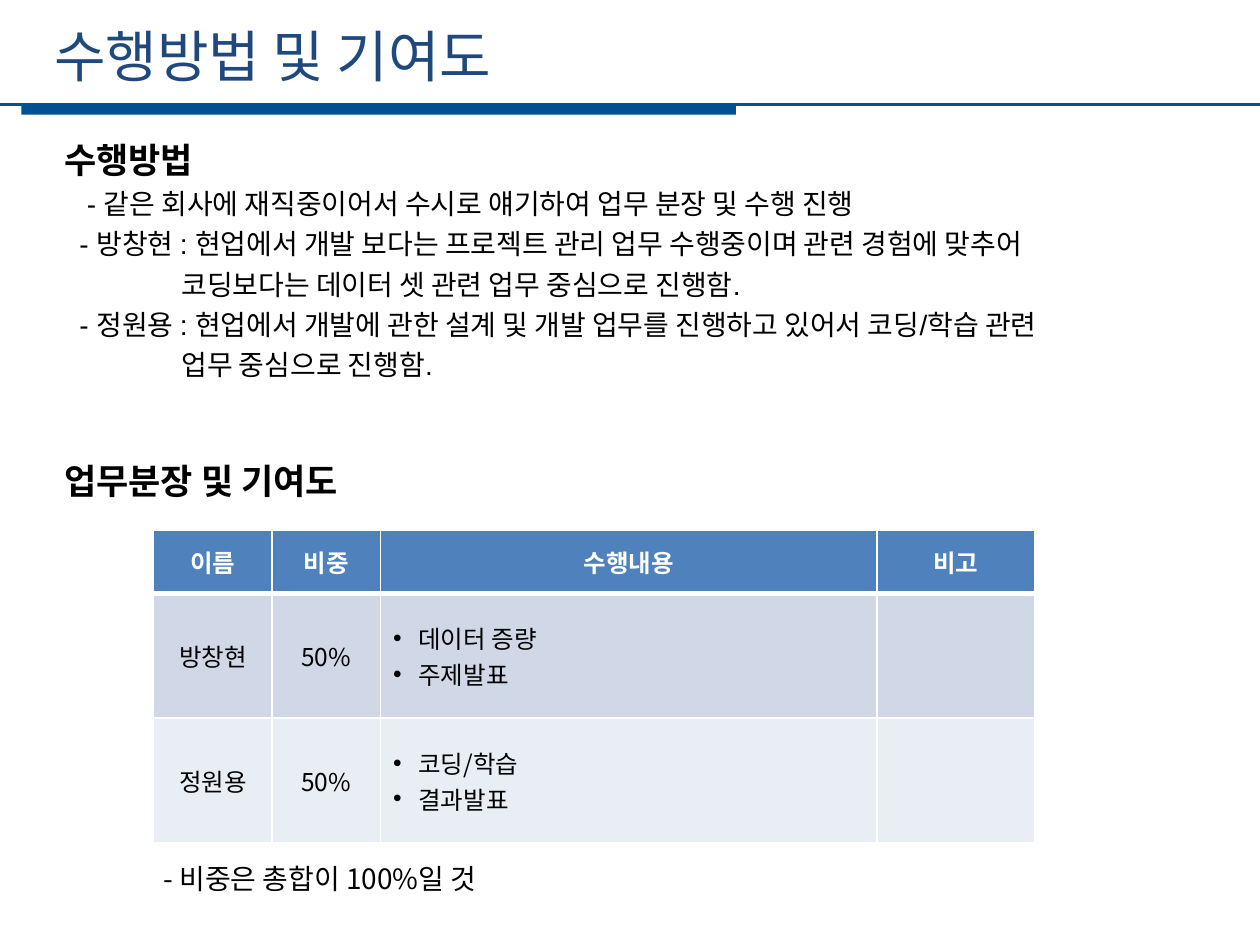
from dataclasses import dataclass

import pptx
import pptx.dml.color
import pptx.enum.dml
import pptx.enum.shapes
import pptx.enum.text
import pptx.oxml
import pptx.oxml.ns
import pptx.util
from lxml import etree

Pt = pptx.util.Pt
Inches = pptx.util.Inches
ALIGN = pptx.enum.text.PP_ALIGN
MIDDLE = pptx.enum.text.MSO_ANCHOR.MIDDLE
qn = pptx.oxml.ns.qn


@dataclass(frozen=True)
class Theme:
    title: str = "1F497D"
    rule: str = "005094"
    text: str = "000000"
    white: str = "FFFFFF"
    header: str = "4F81BD"
    bands: tuple = ("D0D8E8", "E9EDF4")
    korean: str = "Noto Sans CJK KR"
    latin: str = "Arial"
    title_size: int = 32
    heading_size: int = 20
    body_size: int = 16
    table_size: int = 14
    leading: int = 23


def rgb(value):
    return pptx.dml.color.RGBColor.from_string(value)


class Deck:
    """Places elements on a grid of 100 columns by 75 rows."""

    COLUMNS, ROWS = 100, 75

    def __init__(self, theme):
        self.theme = theme
        self.show = pptx.Presentation()
        self.show.slide_width, self.show.slide_height = Inches(10), Inches(7.5)
        self.slide = self.show.slides.add_slide(self.show.slide_layouts[1])

    def x(self, columns):
        return round(self.show.slide_width * columns / self.COLUMNS)

    def y(self, rows):
        return round(self.show.slide_height * rows / self.ROWS)

    def box(self, left, top, width, height):
        return self.x(left), self.y(top), self.x(width), self.y(height)

    def run(self, paragraph, text, size, color=None, bold=False, font=None):
        run = paragraph.add_run()
        run.text = text
        run.font.size, run.font.bold = Pt(size), bold
        run.font.name = font or self.theme.korean
        run.font.color.rgb = rgb(color or self.theme.text)
        east_asian = etree.SubElement(run.font._element, qn("a:ea"))
        east_asian.set("typeface", self.theme.korean)

    def indent(self, paragraph, margin, first, bullet=None):
        """Set the left margin and first-line offset, in columns."""
        properties = paragraph._p.get_or_add_pPr()
        properties.set("marL", str(self.x(margin)))
        properties.set("indent", str(self.x(first)))
        if bullet:
            etree.SubElement(properties, qn("a:buFont")).set("typeface", self.theme.latin)
            etree.SubElement(properties, qn("a:buChar")).set("char", bullet)
        else:
            etree.SubElement(properties, qn("a:buNone"))

    def place(self, holder, area):
        holder.left, holder.top, holder.width, holder.height = self.box(*area)
        frame = holder.text_frame
        frame.auto_size = pptx.enum.text.MSO_AUTO_SIZE.NONE
        frame.word_wrap = True
        return frame

    def title(self, text, area):
        frame = self.place(self.slide.shapes.title, area)
        frame.vertical_anchor = MIDDLE
        heading = frame.paragraphs[0]
        heading.alignment = ALIGN.LEFT
        self.run(heading, text, self.theme.title_size, self.theme.title)

    def body(self, sections, area):
        """Write (heading, items) sections; an item is (margin, first, lines)."""
        frame = self.place(self.slide.placeholders[1], area)
        leading = self.theme.leading

        def paragraph(margin, first, gap, lines, size, bold):
            target = frame.add_paragraph() if frame.paragraphs[0].runs else frame.paragraphs[0]
            target.line_spacing, target.space_before = Pt(leading), Pt(gap)
            self.indent(target, margin, first)
            for number, line in enumerate(lines):
                if number:
                    target.add_line_break()
                self.run(target, line, size, bold=bold, font=self.theme.latin)

        for number, (heading, items) in enumerate(sections):
            gap = 2 * leading if number else 0
            paragraph(0, 0, gap, [heading], self.theme.heading_size, True)
            for margin, first, lines in items:
                paragraph(margin, first, 0, lines, self.theme.body_size, False)

    def bar(self, area):
        bar = self.slide.shapes.add_shape(
            pptx.enum.shapes.MSO_SHAPE.RECTANGLE, *self.box(*area))
        bar.shadow.inherit = False
        bar.fill.solid()
        bar.fill.fore_color.rgb = rgb(self.theme.rule)
        bar.line.fill.background()

    def rule(self, row):
        rule = self.slide.shapes.add_connector(
            pptx.enum.shapes.MSO_CONNECTOR.STRAIGHT,
            0, self.y(row), self.x(self.COLUMNS), self.y(row))
        rule.line.color.rgb, rule.line.width = rgb(self.theme.rule), Pt(1.25)
        etree.SubElement(rule._element.spPr, qn("a:effectLst"))

    def note(self, text, area):
        left, top, width, height = self.box(*area)
        frame = self.slide.shapes.add_textbox(left, top, width, height).text_frame
        frame.word_wrap = True
        self.run(frame.paragraphs[0], text, self.theme.body_size)

    def borders(self, cell, bottom):
        properties = cell._tc.get_or_add_tcPr()
        for side, width in zip("LRTB", (1, 1, 1, bottom)):
            edge = etree.SubElement(properties, qn(f"a:ln{side}"), w=str(Pt(width)))
            fill = etree.SubElement(edge, qn("a:solidFill"))
            etree.SubElement(fill, qn("a:srgbClr"), val=self.theme.white)

    def table(self, rows, left, top, widths, heights):
        """Draw a table; a list in a cell becomes bullets."""
        theme = self.theme
        grid = self.slide.shapes.add_table(
            len(rows), len(widths), *self.box(left, top, sum(widths), sum(heights))).table
        for column, width in zip(grid.columns, widths):
            column.width = self.x(width)
        for number, (row, height, values) in enumerate(zip(grid.rows, heights, rows)):
            row.height = self.y(height)
            header = number == 0
            for cell, value in zip(row.cells, values):
                self.borders(cell, 3 if header else 1)
                cell.fill.solid()
                cell.fill.fore_color.rgb = rgb(
                    theme.header if header else theme.bands[(number - 1) % 2])
                cell.vertical_anchor = MIDDLE
                bulleted = isinstance(value, list)
                for index, text in enumerate(value if bulleted else [value]):
                    frame = cell.text_frame
                    target = frame.add_paragraph() if index else frame.paragraphs[0]
                    if bulleted:
                        self.indent(target, 2, -2, "•")
                    else:
                        target.alignment = ALIGN.CENTER
                    if text:
                        self.run(target, text, theme.table_size,
                                 theme.white if header else theme.text, header)


def main():
    deck = Deck(Theme())
    deck.bar((1.7, 8.3, 56.7, 0.8))
    deck.rule(8.3)
    deck.title("수행방법 및 기여도", (3.3, 1.2, 89.6, 6.4))
    deck.body([
        ("수행방법", [
            (1.8, 0, ["- 같은 회사에 재직중이어서 수시로 얘기하여 업무 분장 및 수행 진행"]),
            (9.3, -8.1, ["- 방창현 : 현업에서 개발 보다는 프로젝트 관리 업무 수행중이며 관련 경험에 맞추어",
                         "코딩보다는 데이터 셋 관련 업무 중심으로 진행함."]),
            (9.3, -8.1, ["- 정원용 : 현업에서 개발에 관한 설계 및 개발 업무를 진행하고 있어서 코딩/학습 관련",
                         "업무 중심으로 진행함."]),
        ]),
        ("업무분장 및 기여도", []),
    ], (4.1, 10.6, 91.2, 30))
    deck.table([
        ("이름", "비중", "수행내용", "비고"),
        ("방창현", "50%", ["데이터 증량", "주제발표"], ""),
        ("정원용", "50%", ["코딩/학습", "결과발표"], ""),
    ], 12.2, 42.1, (9.4, 8.6, 39.4, 12.5), (5, 9.9, 9.9))
    deck.note("- 비중은 총합이 100%일 것", (12, 67.9, 40, 3.7))
    deck.show.save("out.pptx")


if __name__ == "__main__":
    main()
